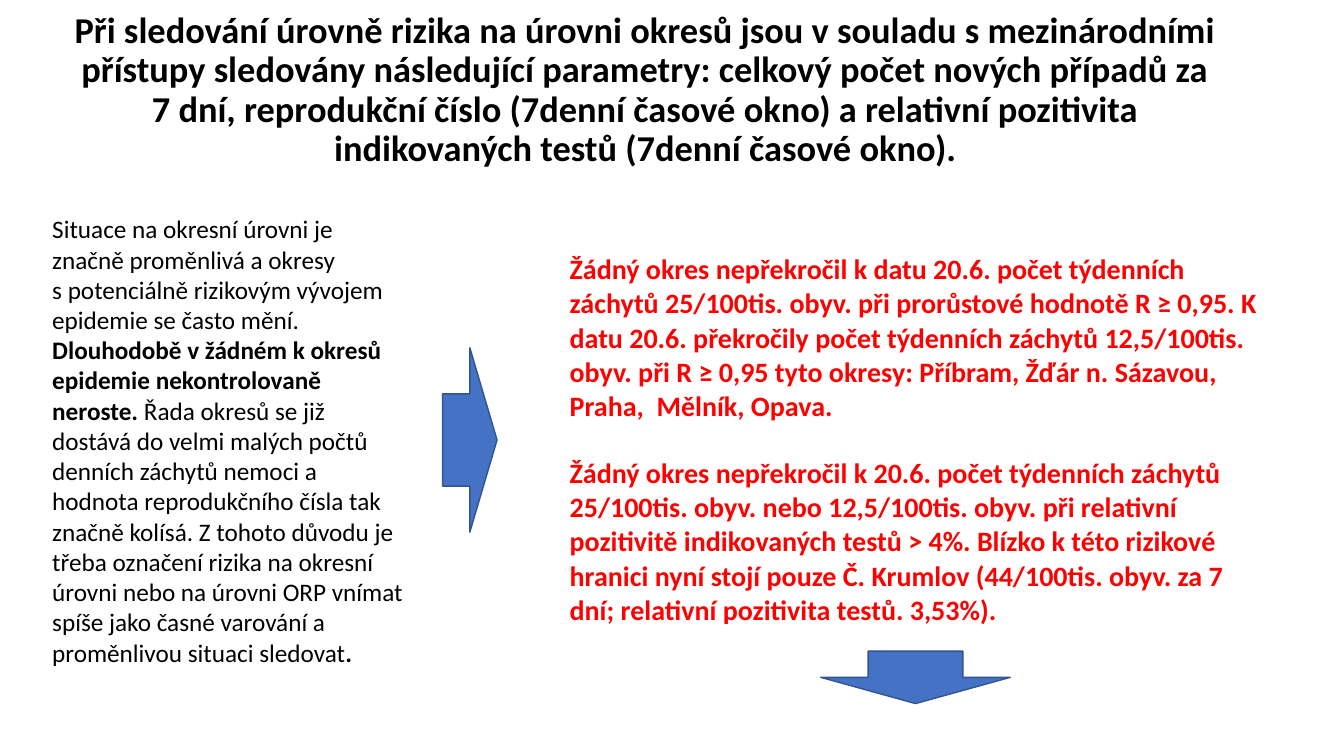
"""Build a slide on district-level risk monitoring."""
from pptx import Presentation
from pptx.dml.color import RGBColor
from pptx.enum.shapes import MSO_SHAPE
from pptx.enum.text import MSO_ANCHOR, MSO_AUTO_SIZE, PP_ALIGN
from pptx.util import Inches, Pt

COLORS = {"text": "000000", "alert": "FF0000", "arrow": "4472C4", "outline": "325491"}
FONT = "Calibri"

TITLE = (
    "Při sledování úrovně rizika na úrovni okresů jsou v souladu s mezinárodními "
    "přístupy sledovány následující parametry: celkový počet nových případů za "
    "7 dní, reprodukční číslo (7denní časové okno) a relativní pozitivita "
    "indikovaných testů (7denní časové okno)."
)
SITUATION = [
    [("Situace na okresní úrovni je značně proměnlivá a okresy", False)],
    [
        ("s potenciálně rizikovým vývojem epidemie se často mění. ", False),
        ("Dlouhodobě v žádném k okresů epidemie nekontrolovaně neroste.", True),
        (
            " Řada okresů se již dostává do velmi malých počtů denních záchytů nemoci a "
            "hodnota reprodukčního čísla tak značně kolísá. Z tohoto důvodu je třeba "
            "označení rizika na okresní úrovni nebo na úrovni ORP vnímat spíše jako "
            "časné varování a proměnlivou situaci sledovat",
            False,
        ),
        (".", True),
    ],
]
FINDINGS = [
    "Žádný okres nepřekročil k datu 20.6. počet týdenních záchytů 25/100tis. obyv. při "
    "prorůstové hodnotě R ≥ 0,95. K datu 20.6. překročily počet týdenních záchytů "
    "12,5/100tis. obyv. při R ≥ 0,95 tyto okresy: Příbram, Žďár n. Sázavou, "
    "Praha,  Mělník, Opava.",
    "Žádný okres nepřekročil k 20.6. počet týdenních záchytů 25/100tis. obyv. nebo "
    "12,5/100tis. obyv. při relativní pozitivitě indikovaných testů > 4%. Blízko k této "
    "rizikové hranici nyní stojí pouze Č. Krumlov (44/100tis. obyv. za 7 dní; relativní "
    "pozitivita testů. 3,53%).",
]
ARROWS = [
    (MSO_SHAPE.RIGHT_ARROW, (4.39, 3.45, 0.54, 1.83)),
    (MSO_SHAPE.DOWN_ARROW, (8.14, 6.46, 1.88, 0.52)),
]
FINDING_TOP, FINDING_STEP = 2.5, 2.02


def add_run(paragraph, text, size, color, bold):
    run = paragraph.add_run()
    run.text = text
    run.font.name = FONT
    run.font.size = Pt(size)
    run.font.bold = bold
    run.font.color.rgb = RGBColor.from_string(COLORS[color])


def add_title(slide):
    title = slide.shapes.title
    title.left, title.top, title.width, title.height = map(Inches, (0.63, 0.07, 11.55, 2.29))
    frame = title.text_frame
    frame.word_wrap = True
    frame.auto_size = MSO_AUTO_SIZE.NONE
    frame.vertical_anchor = MSO_ANCHOR.TOP
    paragraph = frame.paragraphs[0]
    paragraph.alignment = PP_ALIGN.CENTER
    paragraph.line_spacing = 0.9
    add_run(paragraph, TITLE, 26, "text", True)


def add_situation(slide):
    box = slide.shapes.add_textbox(*map(Inches, (0.42, 2.07, 3.73, 4.64)))
    frame = box.text_frame
    frame.word_wrap = True
    frame.auto_size = MSO_AUTO_SIZE.SHAPE_TO_FIT_TEXT
    for index, runs in enumerate(SITUATION):
        paragraph = frame.add_paragraph() if index else frame.paragraphs[0]
        for text, bold in runs:
            add_run(paragraph, text, 18, "text", bold)


def add_finding(slide, top, text):
    position = map(Inches, (5.64, top, 6.9, 1.68))
    table = slide.shapes.add_table(1, 1, *position).table
    table.first_row = table.horz_banding = False
    cell = table.cell(0, 0)
    cell.fill.background()
    cell.margin_left = cell.margin_right = cell.margin_top = Inches(0.01)
    cell.margin_bottom = 0
    add_run(cell.text_frame.paragraphs[0], text, 20, "alert", True)


def add_arrow(slide, kind, position):
    arrow = slide.shapes.add_shape(kind, *map(Inches, position))
    arrow.shadow.inherit = False
    arrow.fill.solid()
    arrow.fill.fore_color.rgb = RGBColor.from_string(COLORS["arrow"])
    arrow.line.color.rgb = RGBColor.from_string(COLORS["outline"])
    arrow.line.width = Pt(1)


def main():
    presentation = Presentation()
    presentation.slide_width, presentation.slide_height = Inches(13.33), Inches(7.5)
    slide = presentation.slides.add_slide(presentation.slide_layouts[5])
    add_title(slide)
    add_situation(slide)
    for index, text in enumerate(FINDINGS):
        add_finding(slide, FINDING_TOP + index * FINDING_STEP, text)
    for kind, position in ARROWS:
        add_arrow(slide, kind, position)
    presentation.save("out.pptx")


if __name__ == "__main__":
    main()
